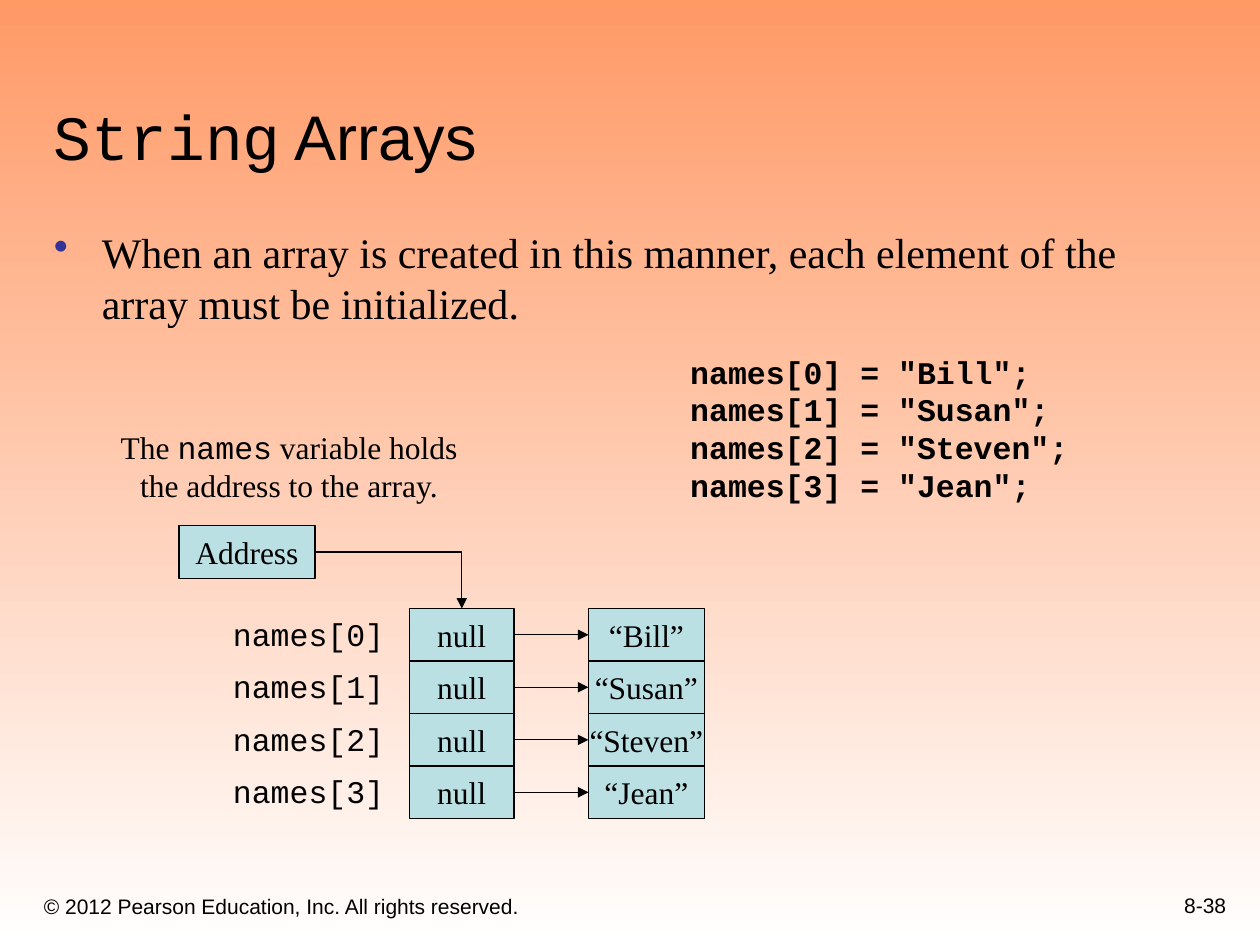
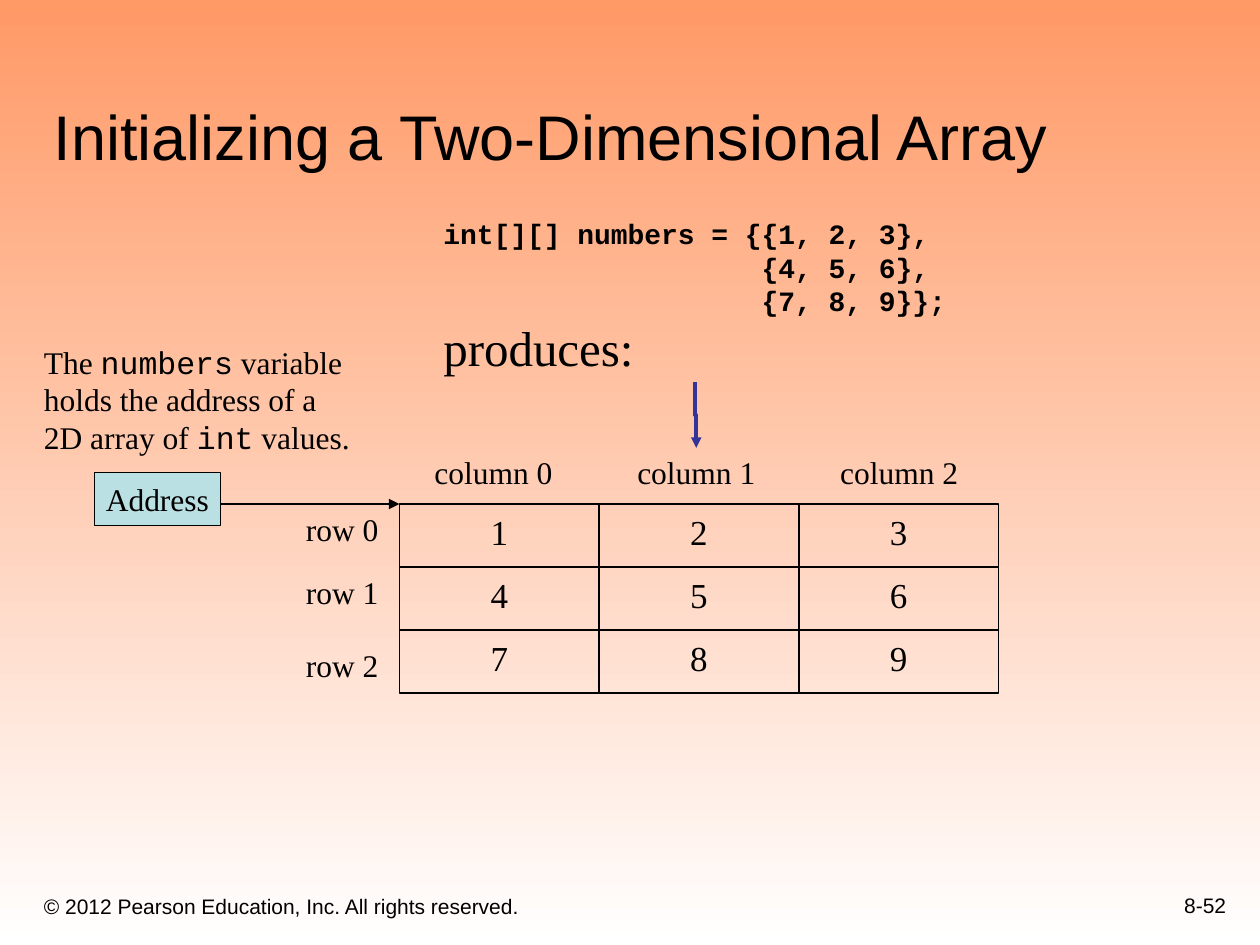
"""Builds two slides on Java arrays: a String array and a two-dimensional array."""
from dataclasses import dataclass

from lxml import etree
from pptx import Presentation
from pptx import util as u
from pptx.dml.color import RGBColor
from pptx.enum import shapes, text
from pptx.oxml.ns import qn


@dataclass(frozen=True)
class Theme:
    background_top: RGBColor = RGBColor(0xFF, 0x99, 0x66)
    background_bottom: RGBColor = RGBColor(0xFF, 0xFF, 0xFF)
    ink: RGBColor = RGBColor(0, 0, 0)
    box: RGBColor = RGBColor(0xBB, 0xE0, 0xE3)
    accent: RGBColor = RGBColor(0x33, 0x33, 0x99)
    sans: str = "Arial"
    serif: str = "Times New Roman"
    mono: str = "Courier New"
    title: int = 36
    produces: int = 28
    body: int = 24
    cell: int = 20
    label: int = 18
    code: int = 16
    footer: int = 12


THEME = Theme()
ALIGN = text.PP_ALIGN
ANCHOR = text.MSO_ANCHOR


@dataclass(frozen=True)
class Run:
    text: str
    font: str = THEME.serif
    size: int = THEME.label
    bold: bool = False


@dataclass(frozen=True)
class Area:
    left: float
    top: float
    width: float
    height: float

    def lengths(self):
        return [u.Inches(value) for value in (self.left, self.top, self.width, self.height)]


def write(shape, lines: list[list[Run]], *, align=ALIGN.LEFT, anchor=ANCHOR.TOP,
          wrap=True, grow=False, bullet=False):
    frame = shape.text_frame
    frame.word_wrap = wrap
    frame.vertical_anchor = anchor
    frame.auto_size = (text.MSO_AUTO_SIZE.SHAPE_TO_FIT_TEXT if grow
                       else text.MSO_AUTO_SIZE.NONE)
    for index, runs in enumerate(lines):
        paragraph = frame.add_paragraph() if index else frame.paragraphs[0]
        paragraph.alignment = align
        if bullet:
            add_bullet(paragraph)
        for item in runs:
            run = paragraph.add_run()
            run.text = item.text
            run.font.name = item.font
            run.font.size = u.Pt(item.size)
            run.font.bold = item.bold
            run.font.color.rgb = THEME.ink


def add_bullet(paragraph):
    properties = paragraph._p.get_or_add_pPr()
    properties.set("marL", str(u.Inches(0.38)))
    properties.set("indent", str(u.Inches(-0.38)))
    color = etree.SubElement(properties, qn("a:buClr"))
    etree.SubElement(color, qn("a:srgbClr")).set("val", str(THEME.accent))
    etree.SubElement(properties, qn("a:buChar")).set("char", "•")


def add_text(slide, area: Area, lines: list[list[Run]], **options):
    shape = slide.shapes.add_textbox(*area.lengths())
    write(shape, lines, **options)
    return shape


def add_label(slide, area: Area, caption: str, font: str = THEME.serif):
    return add_text(slide, area, [[Run(caption, font)]], grow=True)


def add_box(slide, area: Area, caption: str, *, fill=THEME.box, weight=0.75,
            size=THEME.label, anchor=ANCHOR.MIDDLE, wrap=False):
    shape = slide.shapes.add_shape(shapes.MSO_SHAPE.RECTANGLE, *area.lengths())
    shape.shadow.inherit = False
    if fill is None:
        shape.fill.background()
    else:
        shape.fill.solid()
        shape.fill.fore_color.rgb = fill
    shape.line.color.rgb = THEME.ink
    shape.line.width = u.Pt(weight)
    write(shape, [[Run(caption, size=size)]], align=ALIGN.CENTER, anchor=anchor, wrap=wrap)
    return shape


def add_arrow(slide, start=(0, 0), end=(0, 0), *, kind=shapes.MSO_CONNECTOR.STRAIGHT,
              color=THEME.ink, weight=0.75):
    points = [u.Inches(value) for value in (*start, *end)]
    connector = slide.shapes.add_connector(kind, *points)
    connector.line.color.rgb = color
    connector.line.width = u.Pt(weight)
    line = connector.line._get_or_add_ln()
    etree.SubElement(line, qn("a:tailEnd")).set("type", "triangle")
    etree.SubElement(connector._element.spPr, qn("a:effectLst"))
    return connector


def join(connector, source, source_side: int, target, target_side: int):
    connector.begin_connect(source, source_side)
    connector.end_connect(target, target_side)


def add_base_slide(presentation, title: list[Run], number: str):
    slide = presentation.slides.add_slide(presentation.slide_layouts[6])
    fill = slide.background.fill
    fill.gradient()
    fill.gradient_angle = 270
    for stop, color in zip(fill.gradient_stops, (THEME.background_top, THEME.background_bottom)):
        stop.color.rgb = color
    copyright_line = "© 2012 Pearson Education, Inc. All rights reserved."
    add_text(slide, Area(0.25, 6.92, 6.08, 0.42),
             [[Run(copyright_line, THEME.sans, THEME.footer)]], anchor=ANCHOR.BOTTOM)
    add_text(slide, Area(7.75, 6.83, 2.08, 0.5),
             [[Run(number, THEME.sans, THEME.footer)]], align=ALIGN.RIGHT, anchor=ANCHOR.BOTTOM)
    add_text(slide, Area(0.33, 0.33, 9.42, 1.09), [title], anchor=ANCHOR.BOTTOM)
    return slide


def build_string_arrays(presentation):
    slide = add_base_slide(presentation, [Run("String", THEME.mono, THEME.title),
                                          Run(" Arrays", THEME.sans, THEME.title)], "8-38")
    statement = ("When an array is created in this manner, each element of the "
                 "array must be initialized.")
    body = add_text(slide, Area(0.33, 1.75, 9.07, 1.77), [[Run(statement, size=THEME.body)]],
                    bullet=True)
    body.text_frame.margin_right = 0
    add_text(slide, Area(0.86, 3.35, 2.87, 0.7),
             [[Run("The "), Run("names", THEME.mono), Run(" variable holds")],
              [Run("the address to the array.")]], align=ALIGN.CENTER, wrap=False, grow=True)

    names = ("Bill", "Susan", "Steven", "Jean")
    code = [[Run(f'names[{index}] = "{name}";', THEME.mono, bold=True)]
            for index, name in enumerate(names)]
    add_text(slide, Area(5.38, 2.75, 3.2, 1.3), code, wrap=False, grow=True)

    address = add_box(slide, Area(1.42, 4.17, 1.08, 0.42), "Address")
    row_step = 1.25 / 3
    for index, name in enumerate(names):
        top = 4.83 + index * row_step
        add_label(slide, Area(1.75, top, 1.52, 0.4), f"names[{index}]", THEME.mono)
        element = add_box(slide, Area(3.25, top, 0.83, row_step), "null")
        value = add_box(slide, Area(4.67, top, 0.92, row_step), f"“{name}”")
        join(add_arrow(slide), element, 3, value, 1)
        if index == 0:
            elbow = add_arrow(slide, kind=shapes.MSO_CONNECTOR.ELBOW)
            join(elbow, address, 3, element, 0)
            elbow._element.spPr.find(qn("a:prstGeom")).set("prst", "bentConnector2")


def build_two_dimensional_array(presentation):
    title = [Run("Initializing a Two-Dimensional Array", THEME.sans, THEME.title)]
    slide = add_base_slide(presentation, title, "8-52")

    column_width, row_height = 1.585, 0.5
    for row in range(3):
        for column in range(3):
            area = Area(3.17 + column * column_width, 4 + row * row_height,
                        column_width, row_height)
            add_box(slide, area, str(row * 3 + column + 1), fill=None, weight=1,
                    size=THEME.cell, anchor=ANCHOR.TOP, wrap=True)
    for column in range(3):
        add_label(slide, Area(3.35 + column * 1.61, 3.55, 1.2, 0.4), f"column {column}")
    for row, top in enumerate((4, 4.5, 5.08)):
        add_label(slide, Area(2.33, top, 0.83, 0.4), f"row {row}")

    add_box(slide, Area(0.75, 3.75, 1, 0.42), "Address")
    add_arrow(slide, (1.75, 4), (3.17, 4))
    add_text(slide, Area(0.25, 2.67, 2.63, 1),
             [[Run("The "), Run("numbers", THEME.mono), Run(" variable")],
              [Run("holds the address of a")],
              [Run("2D array of "), Run("int", THEME.mono), Run(" values.")]],
             wrap=False, grow=True)

    declaration = "int[][] numbers = {"
    indent = " " * len(declaration)
    code = (declaration + "{1, 2, 3},", indent + "{4, 5, 6},", indent + "{7, 8, 9}};")
    lines = [[Run(line, THEME.mono, THEME.code, True)] for line in code]
    lines.append([Run("produces:", size=THEME.produces)])
    add_text(slide, Area(3.42, 1.67, 4.19, 1.37), lines, wrap=False, grow=True)

    down = add_arrow(slide, (5.78, 3.29), (5.26, 3.3), kind=shapes.MSO_CONNECTOR.ELBOW,
                     color=THEME.accent, weight=2)
    down._element.spPr.find(qn("a:xfrm")).set("rot", str(270 * 60000))


def main():
    presentation = Presentation()
    presentation.slide_width = u.Inches(10)
    presentation.slide_height = u.Inches(7.5)
    build_string_arrays(presentation)
    build_two_dimensional_array(presentation)
    presentation.save("out.pptx")


if __name__ == "__main__":
    main()
